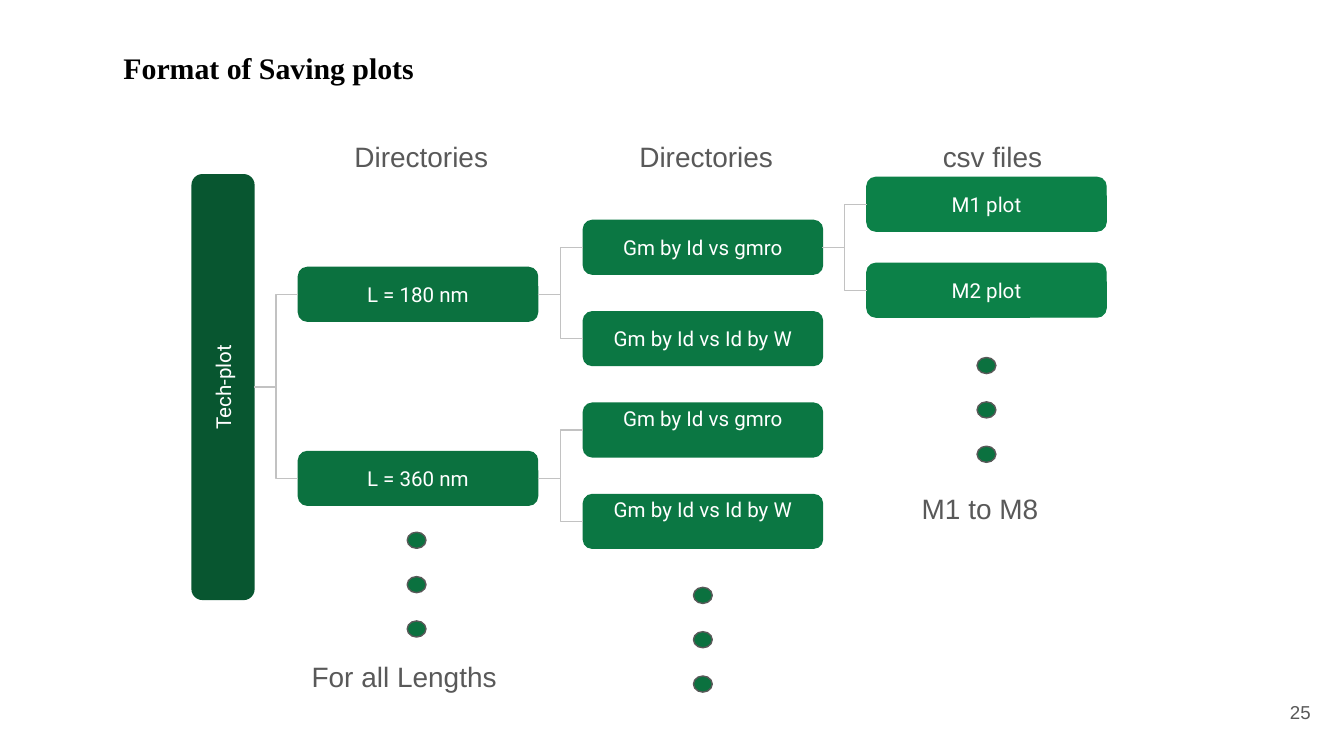
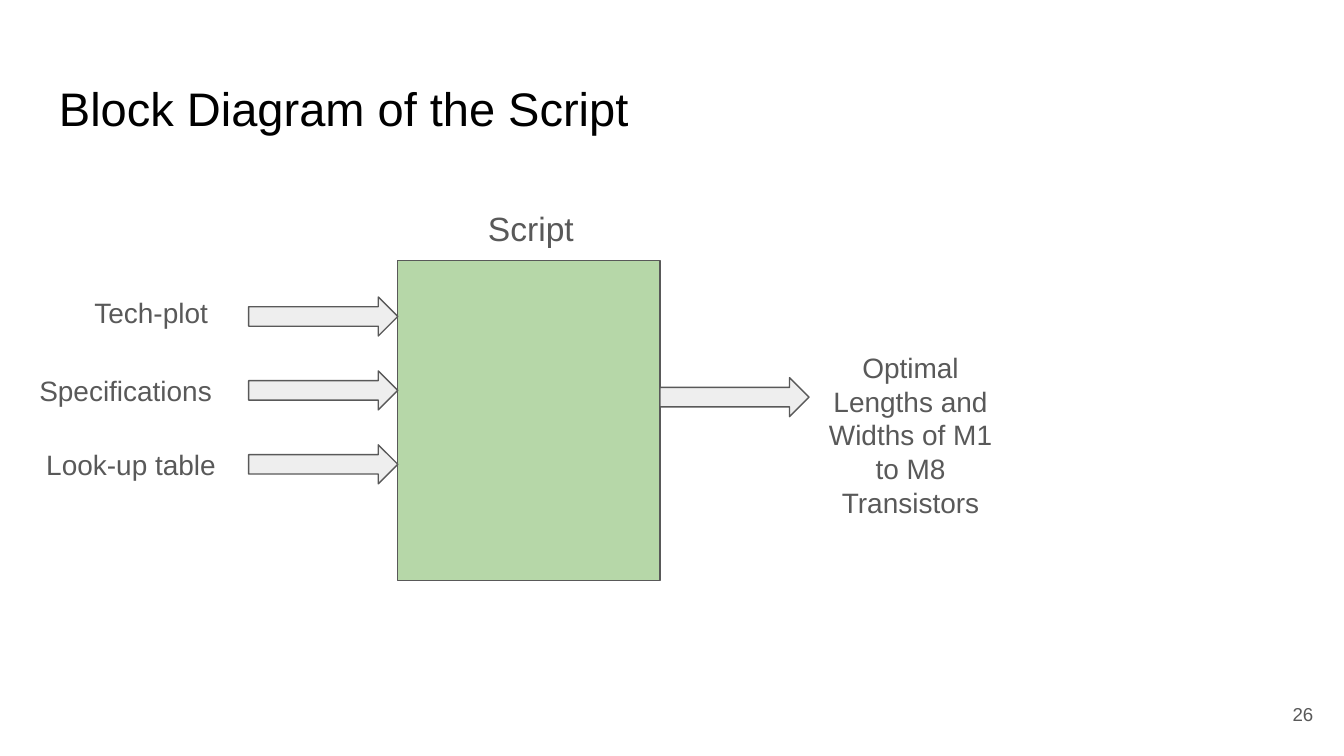
from lxml.etree import SubElement
from pptx import Presentation
from pptx.dml.color import RGBColor
from pptx.enum.shapes import MSO_CONNECTOR as Connector, MSO_SHAPE as Shape
from pptx.enum.text import MSO_ANCHOR as Anchor, PP_ALIGN as Align
from pptx.oxml.ns import qn
from pptx.util import Inches, Pt

BLACK = RGBColor(0x00, 0x00, 0x00)
WHITE = RGBColor(0xFF, 0xFF, 0xFF)
GRAY = RGBColor(0x59, 0x59, 0x59)
LINK_GRAY = RGBColor(0xC2, 0xC2, 0xC2)
ARROW_GRAY = RGBColor(0xEE, 0xEE, 0xEE)
ROOT_GREEN = RGBColor(0x08, 0x56, 0x30)
LENGTH_GREEN = RGBColor(0x0B, 0x71, 0x3F)
PLOT_GREEN = RGBColor(0x0B, 0x77, 0x43)
FILE_GREEN = RGBColor(0x0C, 0x81, 0x48)
SCRIPT_GREEN = RGBColor(0xB6, 0xD7, 0xA8)

SANS, SERIF, NODE_FONT = "Arial", "Times New Roman", "Roboto"
SLIDE_WIDTH = Inches(10)
SLIDE_HEIGHT = SLIDE_WIDTH * 9 // 16
NODE_WIDTH, NODE_HEIGHT = 1.78, 0.4
LENGTH_LEFT, PLOT_LEFT, FILE_LEFT = 2.22, 4.34, 6.45
DOT_STEP = 0.33
ARROW_WIDTH, ARROW_HEIGHT = 1.11, 0.29


def write(shape, text, size, font, color, align, anchor, bold=False):
    frame = shape.text_frame
    frame.word_wrap = True
    frame.vertical_anchor = anchor
    frame.margin_left = frame.margin_right = Inches(0.1)
    frame.margin_top = frame.margin_bottom = Inches(0.1)
    paragraph = frame.paragraphs[0]
    paragraph.alignment = align
    run = paragraph.add_run()
    run.text = text
    run.font.size = Pt(size)
    run.font.name = font
    run.font.bold = bold
    run.font.color.rgb = color


def add_text(slide, box, text, size=15, font=SANS, color=GRAY,
             align=Align.CENTER, anchor=Anchor.TOP, bold=False):
    shape = slide.shapes.add_textbox(*map(Inches, box))
    write(shape, text, size, font, color, align, anchor, bold)
    return shape


def add_title(slide, box, text, size, font=SANS, bold=False):
    add_text(slide, box, text, size, font, BLACK, Align.LEFT, bold=bold)


def add_number(slide, box, number):
    return add_text(slide, box, number, 10, align=Align.RIGHT,
                    anchor=Anchor.MIDDLE)


def add_figure(slide, kind, box, fill, line=GRAY):
    shape = slide.shapes.add_shape(kind, *map(Inches, box))
    shape.shadow.inherit = False
    shape.fill.solid()
    shape.fill.fore_color.rgb = fill
    shape.line.color.rgb = line
    shape.line.width = Pt(0.75)
    return shape


def add_node(slide, left, top, text, color, width=NODE_WIDTH, height=NODE_HEIGHT):
    box = (left, top, width, height)
    node = add_figure(slide, Shape.ROUNDED_RECTANGLE, box, color, color)
    write(node, text, 11, NODE_FONT, WHITE, Align.CENTER, Anchor.MIDDLE)
    return node


def add_link(slide, parent, child):
    reach = parent.height if parent.rotation else parent.width
    start_x = parent.left + (parent.width + reach) // 2
    start_y = parent.top + parent.height // 2
    end_y = child.top + child.height // 2
    link = slide.shapes.add_connector(
        Connector.ELBOW, start_x, start_y, child.left, end_y)
    if not parent.rotation:
        link.begin_connect(parent, 3)
    link.end_connect(child, 1)
    link.line.color.rgb = LINK_GRAY
    link.line.width = Pt(0.75)
    SubElement(link._element.spPr, qn("a:effectLst"))


def add_dots(slide, left, top):
    for index in range(3):
        box = (left, top + index * DOT_STEP, 0.14, 0.12)
        add_figure(slide, Shape.OVAL, box, LENGTH_GREEN)


def add_arrow(slide, left, top):
    box = (left, top, ARROW_WIDTH, ARROW_HEIGHT)
    add_figure(slide, Shape.RIGHT_ARROW, box, ARROW_GRAY)


def build_plot_tree(slide):
    number = add_number(slide, (9.34, 5.14, 0.51, 0.34), "25")
    number.text_frame.paragraphs[0].line_spacing = 0.8

    root = add_node(slide, 0.08, 2.65, "Tech-plot", ROOT_GREEN, 3.16, 0.46)
    root.rotation = 270
    lengths = [add_node(slide, LENGTH_LEFT, top, text, LENGTH_GREEN)
               for top, text in ((1.99, "L = 180 nm"), (3.36, "L = 360 nm"))]
    plot_names = ("Gm by Id vs gmro", "Gm by Id vs Id by W") * 2
    plots = [add_node(slide, PLOT_LEFT, 1.64 + 0.68 * row, text, PLOT_GREEN)
             for row, text in enumerate(plot_names)]
    for plot in plots[2:]:
        plot.text_frame.margin_bottom = Inches(0.28)
    files = [add_node(slide, FILE_LEFT, 1.32 + 0.64 * row, text, FILE_GREEN)
             for row, text in enumerate(("M1 plot", "M2 plot"))]

    branches = ((root, lengths), (lengths[0], plots[:2]),
                (lengths[1], plots[2:]), (plots[0], files))
    for parent, children in branches:
        for child in children:
            add_link(slide, parent, child)

    for left, top in ((3.03, 3.96), (5.16, 4.37), (7.27, 2.66)):
        add_dots(slide, left, top)

    add_text(slide, (6.76, 3.56, 1.47, 0.32), "M1 to M8", align=Align.LEFT)
    add_text(slide, (2.22, 4.81, 1.95, 0.32), "For all Lengths", align=Align.LEFT)
    headings = ((2.16, "Directories"), (4.28, "Directories"), (6.41, "csv files"))
    for left, text in headings:
        add_text(slide, (left, 0.94, 1.95, 0.32), text)
    add_title(slide, (0.82, 0.27, 8.29, 0.56), "Format of Saving plots",
              16, SERIF, True)


def build_block_diagram(slide):
    add_title(slide, (0.34, 0.49, 9.32, 0.63), "Block Diagram of the Script", 25.2)
    add_number(slide, (9.27, 5.1, 0.6, 0.43), "26")
    add_figure(slide, Shape.RECTANGLE, (2.96, 1.94, 1.95, 2.38), SCRIPT_GREEN)
    add_text(slide, (2.99, 1.45, 1.92, 0.43), "Script", 18)

    inputs = (("Tech-plot", (0.42, 2.1, 1.41, 0.29)),
              ("Specifications", (0.19, 2.68, 1.49, 0.45)),
              ("Look-up table", (0.12, 3.23, 1.71, 0.45)))
    for row, (text, box) in enumerate(inputs):
        add_arrow(slide, 1.85, 2.21 + 0.55 * row)
        add_text(slide, box, text)

    add_arrow(slide, 4.91, 2.81)
    add_text(slide, (6.03, 2.51, 1.49, 1.41),
             "Optimal Lengths and Widths of M1 to M8 Transistors")


def main():
    presentation = Presentation()
    presentation.slide_width = SLIDE_WIDTH
    presentation.slide_height = SLIDE_HEIGHT
    blank = presentation.slide_layouts[6]
    for build in (build_plot_tree, build_block_diagram):
        build(presentation.slides.add_slide(blank))
    presentation.save("out.pptx")


if __name__ == "__main__":
    main()
